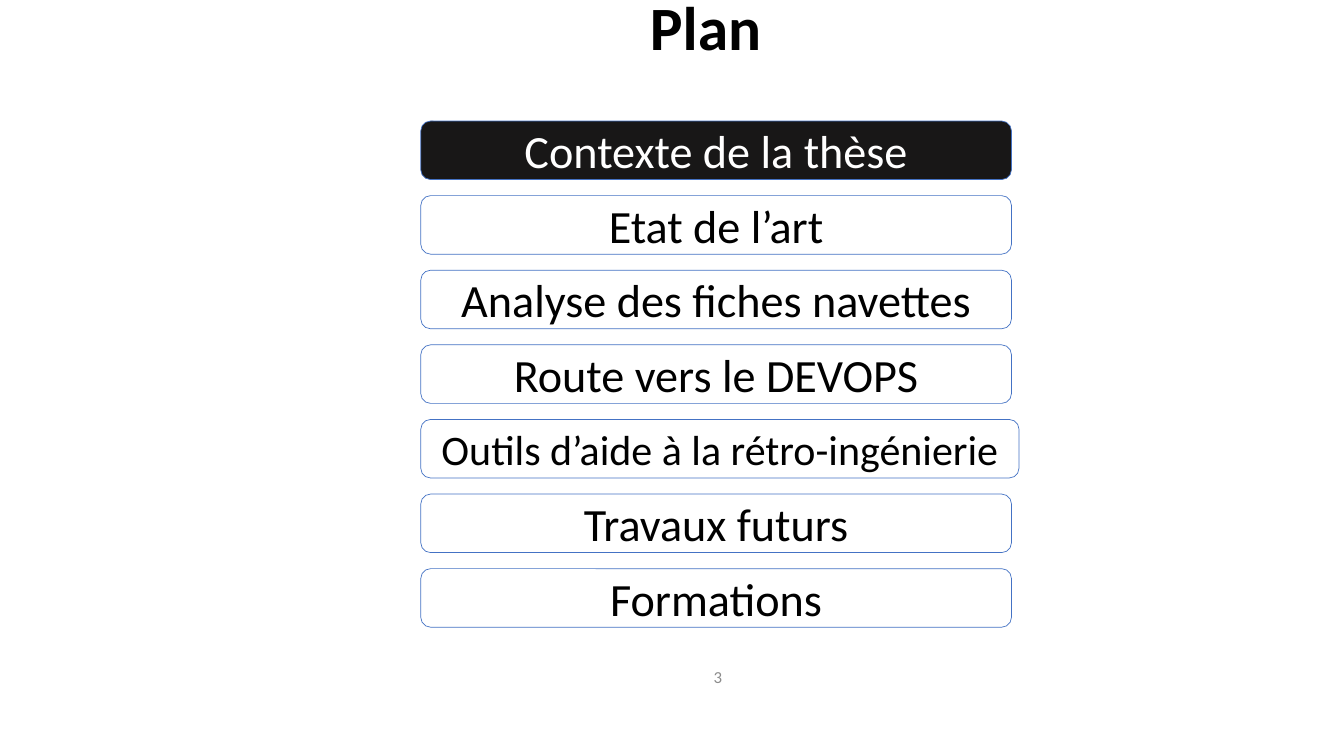
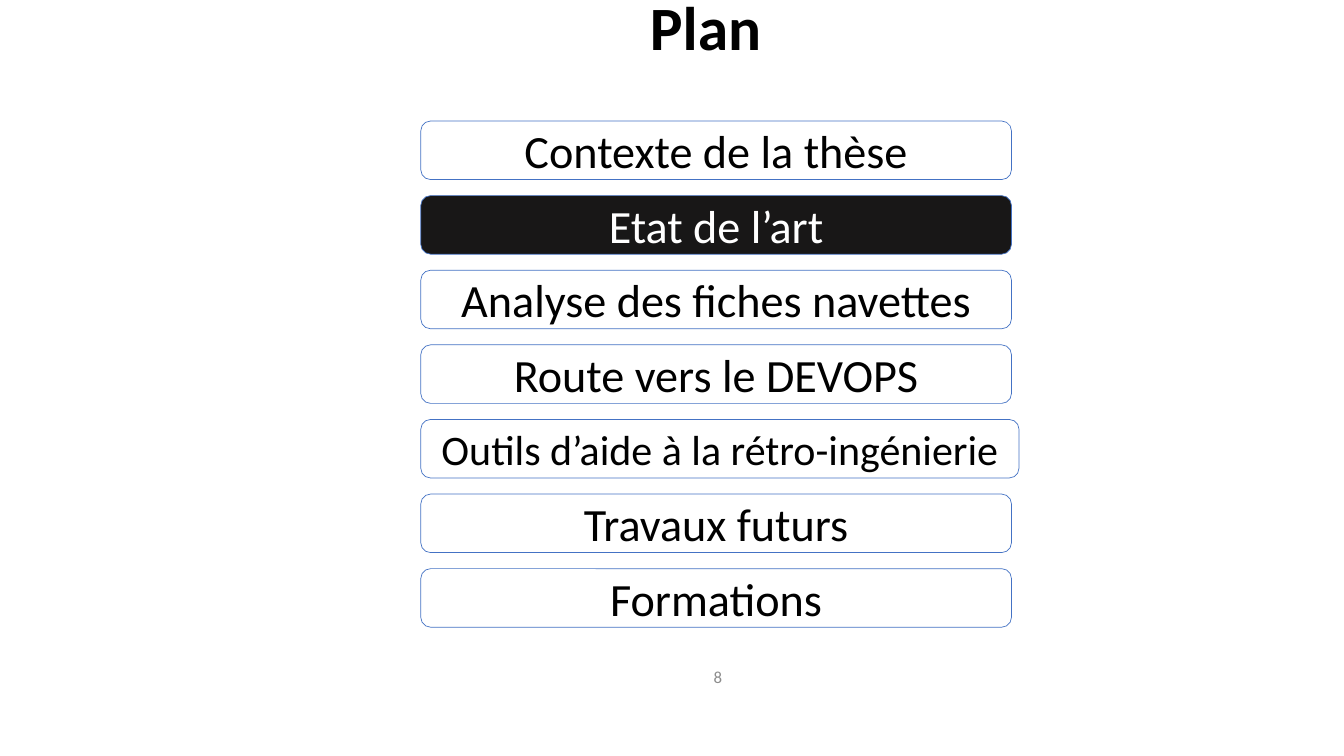
from dataclasses import dataclass

from pptx import Presentation
from pptx.dml.color import RGBColor
from pptx.enum.shapes import MSO_SHAPE
from pptx.enum.text import MSO_ANCHOR, MSO_AUTO_SIZE, PP_ALIGN
from pptx.slide import Slide
from pptx.text.text import TextFrame
from pptx.util import Cm, Pt

ROUNDED = MSO_SHAPE.ROUNDED_RECTANGLE
TOP, MIDDLE = MSO_ANCHOR.TOP, MSO_ANCHOR.MIDDLE
CENTER, RIGHT = PP_ALIGN.CENTER, PP_ALIGN.RIGHT
GROW = MSO_AUTO_SIZE.SHAPE_TO_FIT_TEXT


@dataclass(frozen=True)
class Theme:
    font: str = "Calibri"
    ink: RGBColor = RGBColor(0x00, 0x00, 0x00)
    paper: RGBColor = RGBColor(0xFF, 0xFF, 0xFF)
    current: RGBColor = RGBColor(0x18, 0x17, 0x17)
    outline: RGBColor = RGBColor(0x44, 0x72, 0xC4)
    muted: RGBColor = RGBColor(0x8C, 0x8C, 0x8C)
    title_size: int = 88
    section_size: int = 66
    long_section_size: int = 60
    number_size: int = 24


THEME = Theme()


@dataclass(frozen=True)
class Section:
    label: str
    width: float = 29.77
    size: int = THEME.section_size


@dataclass(frozen=True)
class PlanPage:
    number: int
    current: int


SECTIONS = [
    Section("Contexte de la thèse"),
    Section("Etat de l’art"),
    Section("Analyse des fiches navettes"),
    Section("Route vers le DEVOPS"),
    Section("Outils d’aide à la rétro-ingénierie", 30.15, THEME.long_section_size),
    Section("Travaux futurs"),
    Section("Formations"),
]
PAGES = [PlanPage(number=3, current=0), PlanPage(number=8, current=1)]

# Stack of sections, in centimetres
STACK_LEFT, STACK_TOP = 21.21, 6.1
SECTION_HEIGHT, SECTION_PITCH = 2.95, 3.76


def write(frame: TextFrame, text: str, size: int, color: RGBColor,
          align: PP_ALIGN = CENTER, anchor: MSO_ANCHOR = MIDDLE,
          bold: bool = False) -> None:
    frame.word_wrap = True
    frame.vertical_anchor = anchor
    paragraph = frame.paragraphs[0]
    paragraph.alignment = align
    run = paragraph.add_run()
    run.text = text
    font_format = {"name": THEME.font, "size": Pt(size), "bold": bold}
    for attribute, value in font_format.items():
        setattr(run.font, attribute, value)
    run.font.color.rgb = color


def add_title(slide: Slide, text: str) -> None:
    title = slide.shapes.add_textbox(Cm(8.08), Cm(-0.3), Cm(54.97), Cm(4.52))
    frame = title.text_frame
    write(frame, text, THEME.title_size, THEME.ink, anchor=TOP, bold=True)
    frame.auto_size = GROW
    for side in ("left", "top", "right", "bottom"):
        setattr(frame, f"margin_{side}", Cm(0.15))
    spacing = {"line_spacing": 0.9, "space_before": Pt(24)}
    for attribute, value in spacing.items():
        setattr(frame.paragraphs[0], attribute, value)


def add_page_number(slide: Slide, number: int) -> None:
    footer = slide.shapes.add_textbox(Cm(35.56), Cm(33.5), Cm(1.09), Cm(1.19))
    write(footer.text_frame, str(number), THEME.number_size, THEME.muted, align=RIGHT)


def add_section(slide: Slide, section: Section, row: int, is_current: bool) -> None:
    bar = slide.shapes.add_shape(
        ROUNDED, Cm(STACK_LEFT), Cm(STACK_TOP + row * SECTION_PITCH),
        Cm(section.width), Cm(SECTION_HEIGHT))
    bar.shadow.inherit = False
    bar.fill.solid()
    bar.fill.fore_color.rgb = THEME.current if is_current else THEME.paper
    bar.line.color.rgb = THEME.outline
    bar.line.width = Pt(1)
    label_color = THEME.paper if is_current else THEME.ink
    write(bar.text_frame, section.label, section.size, label_color)


def main() -> None:
    deck = Presentation()
    deck.slide_width, deck.slide_height = Cm(67.74), Cm(38.1)
    blank = deck.slide_layouts[6]

    # One plan per chapter, with the current section highlighted
    for page in PAGES:
        slide = deck.slides.add_slide(blank)
        add_title(slide, "Plan")
        add_page_number(slide, page.number)
        for row, section in enumerate(SECTIONS):
            add_section(slide, section, row, row == page.current)

    deck.save("out.pptx")


if __name__ == "__main__":
    main()
